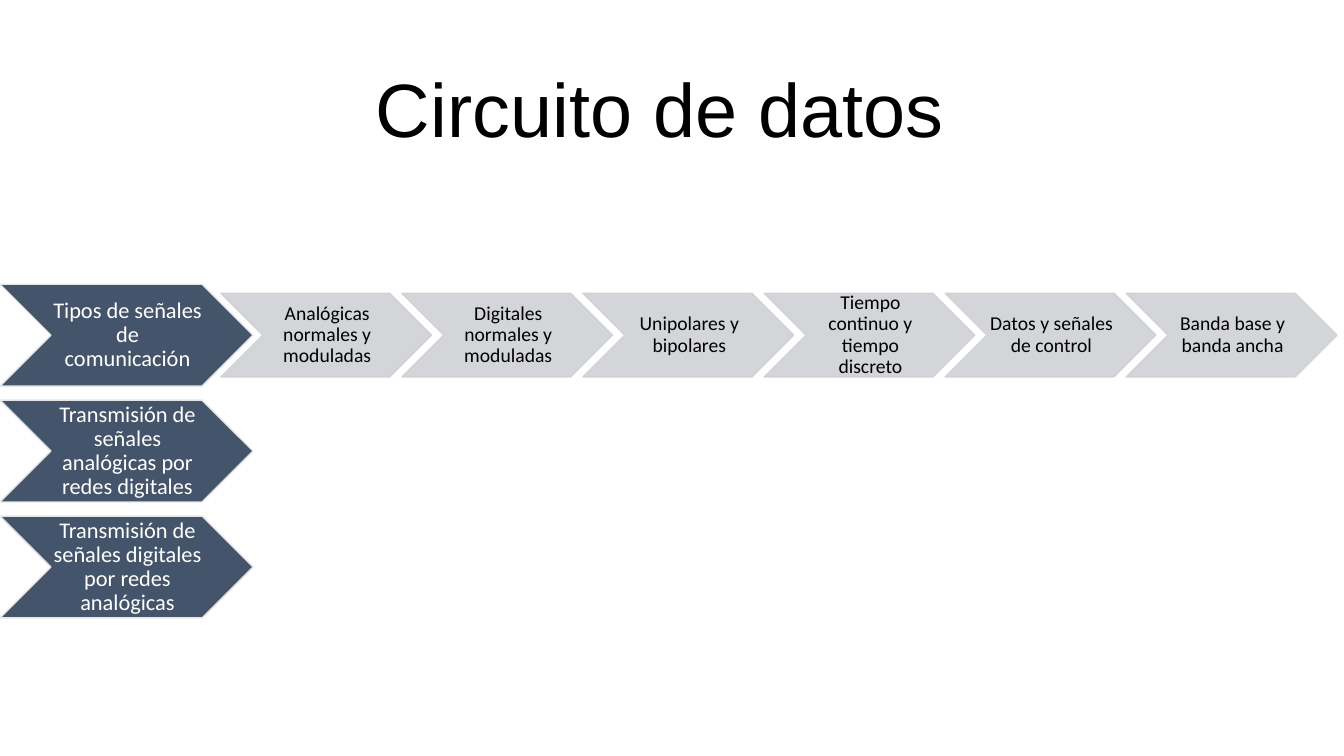
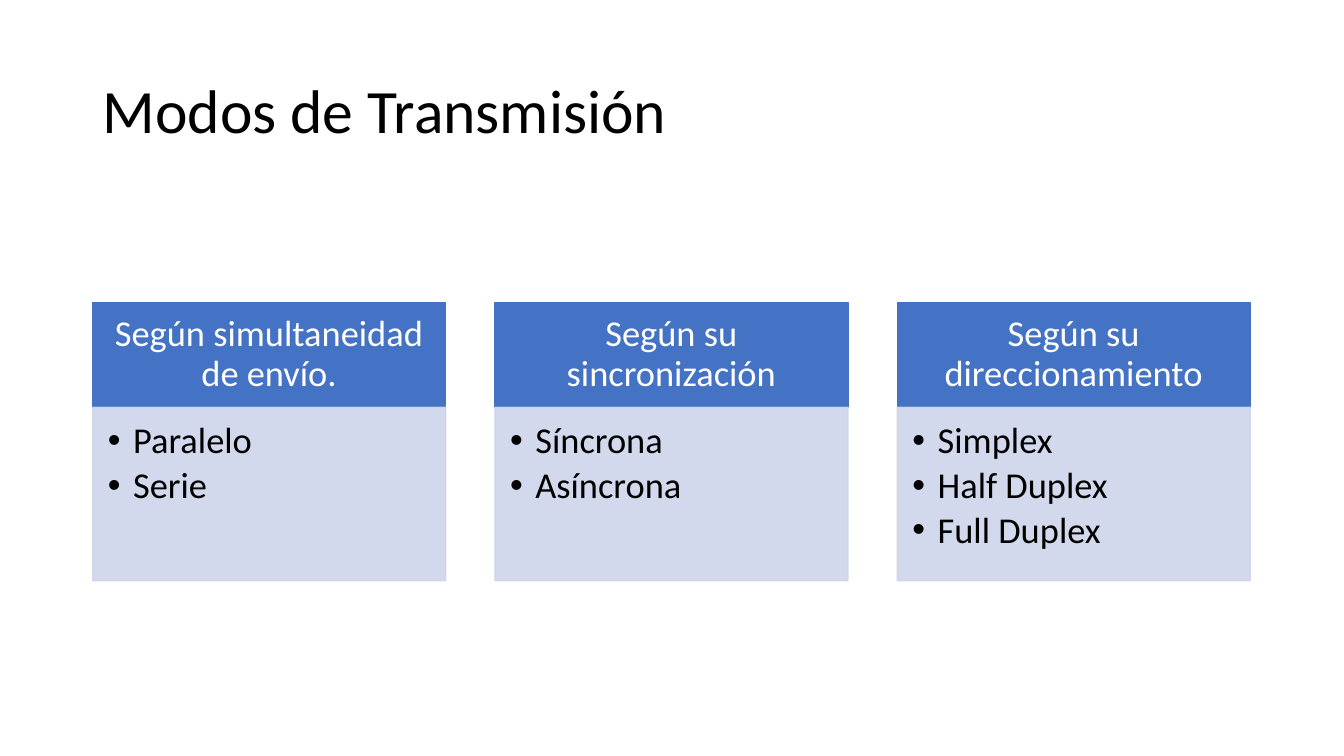
from dataclasses import dataclass

from lxml import etree
from pptx import Presentation
from pptx import util as u
from pptx.dml import color
from pptx.enum import shapes, text
from pptx.oxml import ns


@dataclass(frozen=True)
class Theme:
    font: str = "Calibri"
    title_font: str = "Arial"
    black: str = "000000"
    white: str = "FFFFFF"
    topic_fill: str = "44546A"
    topic_line: str = "E7E6E6"
    detail_fill: str = "CFD1D4"
    header_fill: str = "4472C4"
    body_fill: str = "CFD5EA"
    large_title_size: float = 54
    title_size: float = 44
    topic_size: float = 16
    detail_size: float = 14
    card_size: float = 26
    line_spacing: float = 0.9
    bullet_gap: float = 3.9
    pale_opacity: int = 90


THEME = Theme()


@dataclass(frozen=True)
class Box:
    left: float
    top: float
    width: float
    height: float

    def lengths(self) -> tuple:
        return tuple(u.Inches(n) for n in (self.left, self.top, self.width, self.height))


@dataclass(frozen=True)
class ShapeStyle:
    preset: shapes.MSO_SHAPE
    fill: str
    line: str
    text_color: str
    size: float
    insets: tuple
    opacity: int = 100
    bulleted: bool = False


@dataclass(frozen=True)
class Topic:
    label: str
    details: tuple = ()


@dataclass(frozen=True)
class Card:
    heading: str
    items: tuple


# Shape styles
CHEVRON_INSETS = (0.02, 0.01, 0, 0.01)
TOPIC = ShapeStyle(shapes.MSO_SHAPE.CHEVRON, THEME.topic_fill, THEME.topic_line,
                   THEME.white, THEME.topic_size, CHEVRON_INSETS)
DETAIL = ShapeStyle(shapes.MSO_SHAPE.CHEVRON, THEME.detail_fill, THEME.detail_fill,
                    THEME.black, THEME.detail_size, CHEVRON_INSETS, THEME.pale_opacity)
CARD_HEADER = ShapeStyle(shapes.MSO_SHAPE.RECTANGLE, THEME.header_fill, THEME.header_fill,
                         THEME.white, THEME.card_size, (0.2, 0.12, 0.2, 0.12))
CARD_BODY = ShapeStyle(shapes.MSO_SHAPE.RECTANGLE, THEME.body_fill, THEME.body_fill,
                       THEME.black, THEME.card_size, (0.15, 0.15, 0.2, 0.23),
                       THEME.pale_opacity, bulleted=True)

# Layout
TITLE_BOX = Box(0.92, 0.4, 11.5, 1.45)
TOPIC_BOX = Box(0, 2.82, 2.51, 1.01)
TOPIC_STEP = 1.15
DETAIL_BOX = Box(2.19, 2.91, 2.09, 0.83)
DETAIL_STEP = 1.796
HEADER_BOX = Box(0.92, 3, 3.5, 1.04)
BODY_HEIGHT = 1.72
CARD_STEP = 3.99

# Content
TOPICS = (
    Topic("Tipos de señales de comunicación", (
        "Analógicas normales y moduladas",
        "Digitales normales y moduladas",
        "Unipolares y bipolares",
        "Tiempo continuo y tiempo discreto",
        "Datos y señales de control",
        "Banda base y banda ancha",
    )),
    Topic("Transmisión de señales analógicas por redes digitales"),
    Topic("Transmisión de señales digitales por redes analógicas"),
)
CARDS = (
    Card("Según simultaneidad de envío.", ("Paralelo", "Serie")),
    Card("Según su sincronización", ("Síncrona", "Asíncrona")),
    Card("Según su direccionamiento", ("Simplex", "Half Duplex", "Full Duplex")),
)


def set_opacity(shape, percent: int) -> None:
    """Apply one opacity to the fill and the outline."""
    for fill_color in shape._element.spPr.iter(ns.qn("a:srgbClr")):
        etree.SubElement(fill_color, ns.qn("a:alpha"), val=str(percent * 1000))


def add_bullet(paragraph) -> None:
    properties = paragraph._p.get_or_add_pPr()
    properties.set("marL", str(u.Inches(0.25)))
    properties.set("indent", str(u.Inches(-0.25)))
    etree.SubElement(properties, ns.qn("a:buFont"), typeface="Arial")
    etree.SubElement(properties, ns.qn("a:buChar"), char="•")


def format_runs(paragraph, font: str, size: float, text_color: str) -> None:
    paragraph.line_spacing = THEME.line_spacing
    for run in paragraph.runs:
        run.font.name = font
        run.font.size = u.Pt(size)
        run.font.color.rgb = color.RGBColor.from_string(text_color)


def add_title(slide, title: str, font: str, size: float, indent: float = 0) -> None:
    frame = slide.shapes.add_textbox(*TITLE_BOX.lengths()).text_frame
    frame.word_wrap = True
    frame.vertical_anchor = text.MSO_ANCHOR.MIDDLE
    frame.text = title
    paragraph = frame.paragraphs[0]
    paragraph._p.get_or_add_pPr().set("marL", str(u.Inches(indent)))
    format_runs(paragraph, font, size, THEME.black)


def add_block(slide, box: Box, lines: tuple, style: ShapeStyle) -> None:
    shape = slide.shapes.add_shape(style.preset, *box.lengths())
    shape.shadow.inherit = False
    shape.fill.solid()
    shape.fill.fore_color.rgb = color.RGBColor.from_string(style.fill)
    shape.line.color.rgb = color.RGBColor.from_string(style.line)
    shape.line.width = u.Pt(1)
    if style.opacity < 100:
        set_opacity(shape, style.opacity)

    frame = shape.text_frame
    frame.word_wrap = True
    frame.margin_left, frame.margin_top, frame.margin_right, frame.margin_bottom = (
        u.Inches(inset) for inset in style.insets)
    frame.vertical_anchor = text.MSO_ANCHOR.TOP if style.bulleted else text.MSO_ANCHOR.MIDDLE
    frame.text = "\n".join(lines)
    for paragraph in frame.paragraphs:
        paragraph.alignment = text.PP_ALIGN.LEFT if style.bulleted else text.PP_ALIGN.CENTER
        if style.bulleted:
            paragraph.space_after = u.Pt(THEME.bullet_gap)
            add_bullet(paragraph)
        format_runs(paragraph, THEME.font, style.size, style.text_color)


def build_circuit_slide(slide) -> None:
    add_title(slide, "Circuito de datos", THEME.title_font, THEME.large_title_size, indent=2.71)
    for row, topic in enumerate(TOPICS):
        drop = row * TOPIC_STEP
        topic_box = Box(TOPIC_BOX.left, TOPIC_BOX.top + drop, TOPIC_BOX.width, TOPIC_BOX.height)
        add_block(slide, topic_box, (topic.label,), TOPIC)
        for column, detail in enumerate(topic.details):
            detail_box = Box(DETAIL_BOX.left + column * DETAIL_STEP, DETAIL_BOX.top + drop,
                             DETAIL_BOX.width, DETAIL_BOX.height)
            add_block(slide, detail_box, (detail,), DETAIL)


def build_modes_slide(slide) -> None:
    add_title(slide, "Modos de Transmisión", THEME.font, THEME.title_size)
    for column, card in enumerate(CARDS):
        left = HEADER_BOX.left + column * CARD_STEP
        header = Box(left, HEADER_BOX.top, HEADER_BOX.width, HEADER_BOX.height)
        body = Box(left, header.top + header.height, header.width, BODY_HEIGHT)
        add_block(slide, header, (card.heading,), CARD_HEADER)
        add_block(slide, body, card.items, CARD_BODY)


def main() -> None:
    presentation = Presentation()
    presentation.slide_width = u.Inches(13.33)
    presentation.slide_height = u.Inches(7.5)
    blank_layout = presentation.slide_layouts[6]
    for build in (build_circuit_slide, build_modes_slide):
        build(presentation.slides.add_slide(blank_layout))
    presentation.save("out.pptx")


if __name__ == "__main__":
    main()
